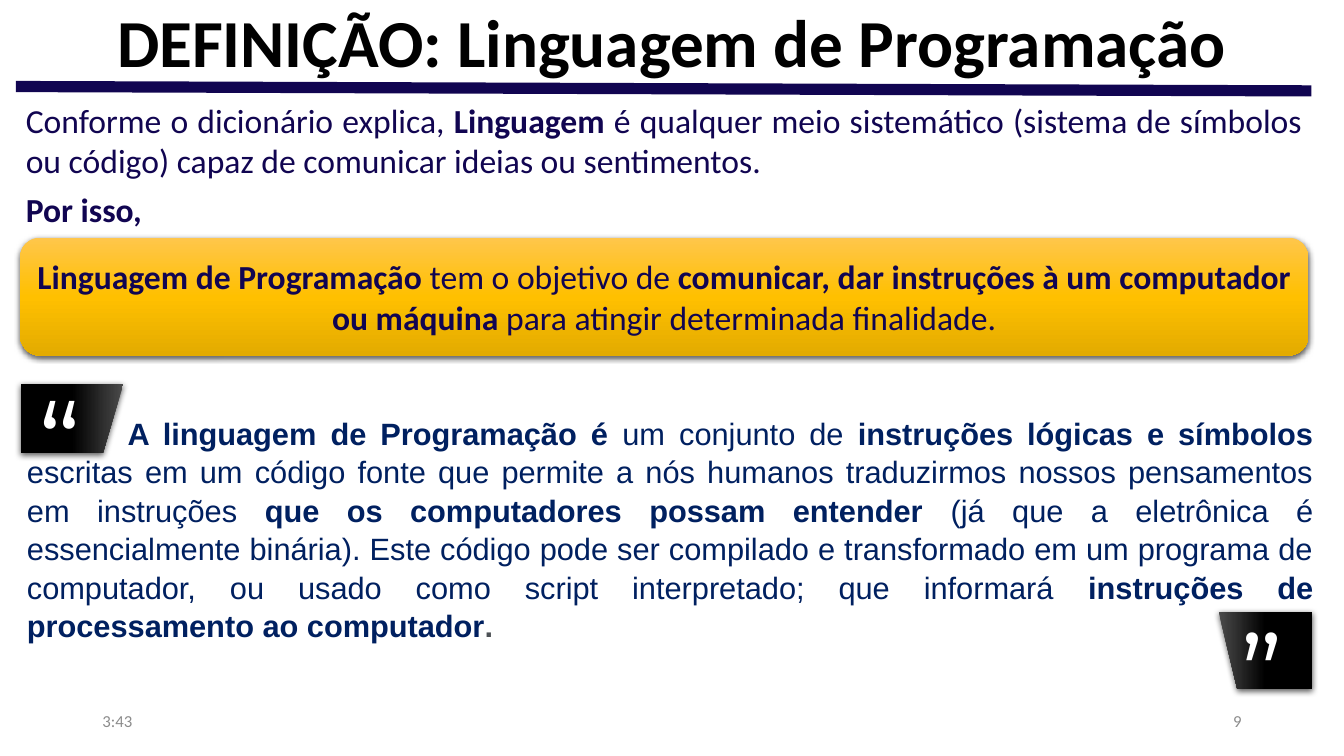
from pptx import Presentation
from pptx.dml.color import RGBColor
from pptx.enum.shapes import MSO_CONNECTOR as Link, MSO_SHAPE as Form
from pptx.enum.text import MSO_ANCHOR as Anchor, PP_ALIGN as Align
from pptx.oxml import parse_xml
from pptx.oxml.ns import nsdecls
from pptx.util import Cm, Pt

NAVY, BLUE, GRAY, WHITE = "110551", "002060", "8C8C8C", "FFFFFF"
GOLD = ("FFC64B", "FFC000", "E3AB00")
DARK = ("4B4B4B", "000000", "000000")


def paint(color, code):
    color.rgb = RGBColor.from_string(code)


def write(par, text, size, code, font="Calibri", align=Align.LEFT):
    """Fill a paragraph, with the parts between asterisks in bold."""
    par.alignment = align
    par.font.name, par.font.size = font, Pt(size)
    paint(par.font.color, code)
    for i, part in enumerate(text.split("*")):
        if part:
            run = par.add_run()
            run.text = part
            if i % 2:
                run.font.bold = True


def add_text(slide, box, text, size, code, font="Calibri",
             align=Align.LEFT, anchor=Anchor.TOP):
    frame = slide.shapes.add_textbox(*map(Cm, box)).text_frame
    frame.word_wrap = True
    frame.vertical_anchor = anchor
    write(frame.paragraphs[0], text, size, code, font, align)
    return frame


def add_block(slide, form, box, tones):
    """Add a shape with a vertical three-tone gradient and a soft shadow."""
    shape = slide.shapes.add_shape(form, *map(Cm, box))
    shape.line.fill.background()
    stops = "".join(
        f'<a:gs pos="{i * 50000}"><a:srgbClr val="{tone}"/></a:gs>'
        for i, tone in enumerate(tones))
    edge = shape.line._ln
    edge.addprevious(parse_xml(
        f'<a:gradFill {nsdecls("a")} rotWithShape="1"><a:gsLst>{stops}'
        '</a:gsLst><a:lin ang="5400000" scaled="0"/></a:gradFill>'))
    edge.addnext(parse_xml(
        f'<a:effectLst {nsdecls("a")}><a:outerShdw blurRad="{Pt(4.5)}" '
        f'dist="{Pt(1.5)}" dir="5400000" algn="ctr" rotWithShape="0">'
        '<a:srgbClr val="000000"><a:alpha val="63000"/></a:srgbClr>'
        '</a:outerShdw></a:effectLst>'))
    return shape


def add_quote(slide, box, spot, mark, flip=False):
    tab = add_block(slide, Form.FLOWCHART_MANUAL_INPUT, box, DARK)
    tab.rotation = 270
    if flip:
        tab._element.spPr.xfrm.set("flipV", "1")
    add_text(slide, spot, mark, 80, WHITE, "Montserrat")


def add_rule(slide, start, end, code, width):
    line = slide.shapes.add_connector(Link.STRAIGHT, *map(Cm, start + end))
    paint(line.line.color, code)
    line.line.width = Pt(width)
    line._element.spPr.append(parse_xml(f'<a:effectLst {nsdecls("a")}/>'))


def add_title(slide, text):
    title = slide.shapes.title
    title.left, title.top, title.width, title.height = map(
        Cm, (0, 0, 33.87, 2.29))
    title.text_frame.vertical_anchor = Anchor.MIDDLE
    par = title.text_frame.paragraphs[0]
    write(par, text, 48, "000000", align=Align.CENTER)
    par.font.bold = True
    par.line_spacing = 0.9


def main():
    deck = Presentation()
    deck.slide_width, deck.slide_height = Cm(33.87), Cm(19.05)
    slide = deck.slides.add_slide(deck.slide_layouts[5])

    add_title(slide, "DEFINIÇÃO: Linguagem de Programação")
    add_text(slide, (2.33, 17.65, 7.62, 1.02), "3:43", 12, GRAY,
             anchor=Anchor.MIDDLE)
    add_text(slide, (23.92, 17.65, 7.62, 1.02), "9", 12, GRAY,
             align=Align.RIGHT, anchor=Anchor.MIDDLE)
    add_rule(slide, (0.4, 2.18), (33.05, 2.29), NAVY, 8)

    quote = add_text(
        slide, (0.43, 10.29, 32.92, 5.89),
        "*A linguagem de Programação é *um conjunto de *instruções lógicas e "
        "símbolos *escritas em um código fonte que permite a nós humanos "
        "traduzirmos nossos pensamentos em instruções *que os computadores "
        "possam entender *(já que a eletrônica é essencialmente binária). "
        "Este código pode ser compilado e transformado em um programa de "
        "computador, ou usado como script interpretado; que informará "
        "*instruções de processamento ao computador**.*",
        22, BLUE, "Arial", Align.JUSTIFY).paragraphs[0]
    quote.line_spacing = 1.04
    quote._p.get_or_add_pPr().set("indent", str(Cm(2.54)))
    paint(quote.runs[-1].font.color, "4D5156")

    add_quote(slide, (0.94, 9.25, 1.75, 2.59), (0.71, 9.27, 1.93, 3.63),
              "“", flip=True)
    add_quote(slide, (30.91, 15.21, 1.96, 2.36), (31.01, 15.11, 2.36, 3.68),
              "”")

    intro = add_text(
        slide, (0.4, 2.39, 32.66, 3.56),
        "Conforme o dicionário explica, *Linguagem *é qualquer meio "
        "sistemático (sistema de símbolos ou código) capaz de comunicar "
        "ideias ou sentimentos.", 24, NAVY, align=Align.JUSTIFY)
    intro.paragraphs[0].space_after = Pt(6)
    write(intro.add_paragraph(), "*Por isso,*", 24, NAVY, align=Align.JUSTIFY)

    goal = add_block(slide, Form.ROUNDED_RECTANGLE,
                     (0.51, 5.99, 32.46, 2.97), GOLD).text_frame
    goal.word_wrap = True
    goal.vertical_anchor = Anchor.MIDDLE
    write(goal.paragraphs[0],
          "*Linguagem de Programação *tem o objetivo de *comunicar, dar "
          "instruções à um computador ou máquina *para atingir determinada "
          "finalidade.", 24, NAVY, align=Align.CENTER)

    deck.save("out.pptx")


if __name__ == "__main__":
    main()
